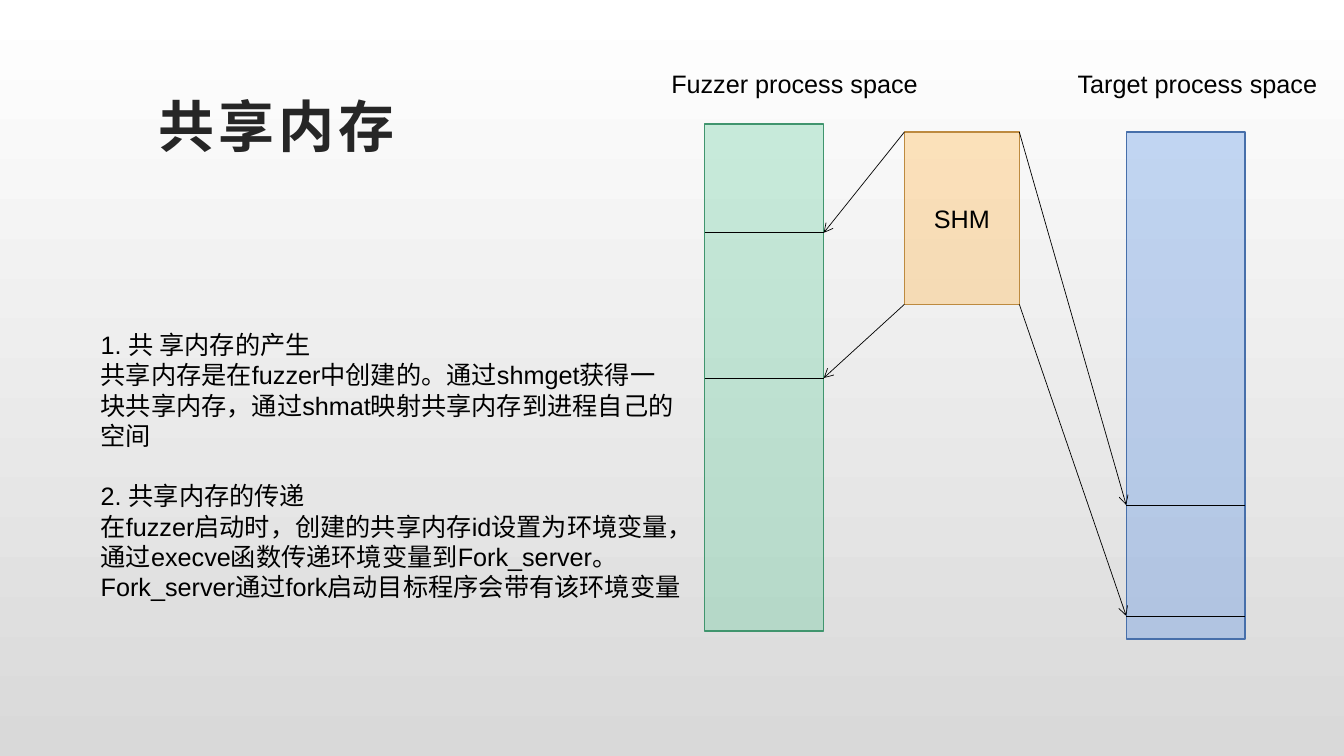
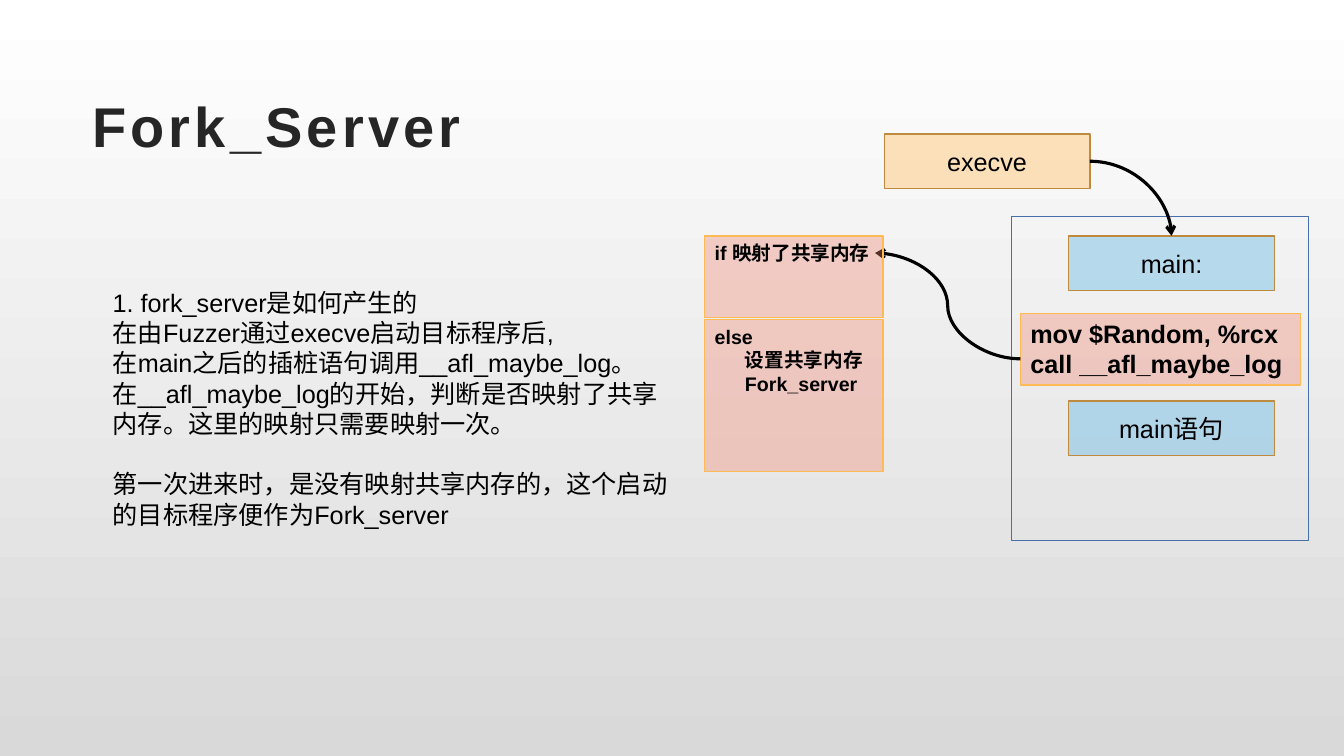
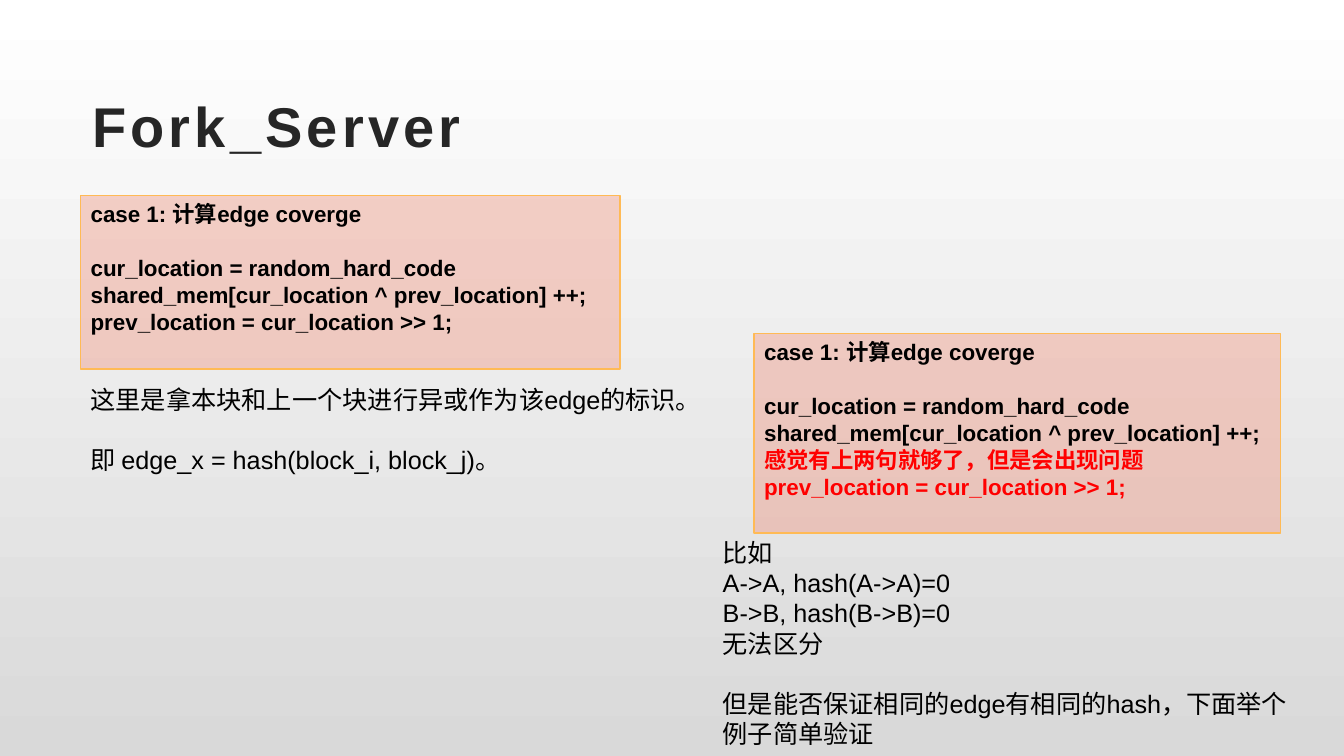
from lxml import etree
from pptx import Presentation
from pptx.dml.color import RGBColor
from pptx.enum.shapes import MSO_CONNECTOR, MSO_SHAPE
from pptx.enum.text import MSO_ANCHOR, PP_ALIGN
from pptx.oxml.ns import qn
from pptx.util import Inches, Pt

RECT = MSO_SHAPE.RECTANGLE
STRAIGHT, CURVE = MSO_CONNECTOR.STRAIGHT, MSO_CONNECTOR.CURVE
TOP, MIDDLE, BOTTOM = MSO_ANCHOR.TOP, MSO_ANCHOR.MIDDLE, MSO_ANCHOR.BOTTOM
LEFT, CENTER = PP_ALIGN.LEFT, PP_ALIGN.CENTER

FONT = "Arial"
COLORS = {
    "bg_top": "FFFFFF", "bg_bottom": "D9D9D9", "title": "262626", "text": "000000",
    "alert": "FF0000", "orange": "FFBA55", "brown": "BD8A3F", "green": "56CA95",
    "dark_green": "40956E", "blue": "6096E6", "dark_blue": "476FAA",
    "sky": "58B6E5", "coral": "F18870",
}

# Box looks: fill, opacity in percent, outline
LOOKS = {
    "shm": ("orange", 38, "brown"),
    "fuzzer": ("green", 30, "dark_green"),
    "target": ("blue", 36, "dark_blue"),
    "frame": (None, 0, "dark_blue"),
    "call": ("orange", 39, "brown"),
    "step": ("sky", 39, "brown"),
    "code": ("coral", 36, "orange"),
}

# Text is a list of blocks; each block is a list of lines.
# A line is a string, or a string with its colour and indent.
SHM_TEXT = [
    ["1. 共 享内存的产生",
     "共享内存是在fuzzer中创建的。通过shmget获得一",
     "块共享内存，通过shmat映射共享内存到进程自己的空间"],
    ["2. 共享内存的传递",
     "在fuzzer启动时，创建的共享内存id设置为环境变量，通过execve函数传递环境变量到"
     "Fork_server。Fork_server通过fork启动目标程序会带有该环境变量"],
]
SHM_BOX = (8.97, 1.31, 1.14, 1.71)
# Label, label position, look, box, heights of the mapped region
SPACES = [
    ("Fuzzer process space", (6.56, 0.63, 2.74, 0.4), "fuzzer",
     (6.99, 1.23, 1.18, 5.03), (2.31, 3.75)),
    ("Target process space", (10.59, 0.63, 2.74, 0.4), "target",
     (11.17, 1.31, 1.18, 5.03), (5.01, 6.11)),
]

FORK_TEXT = [
    ["1. fork_server是如何产生的",
     "在由Fuzzer通过execve启动目标程序后,",
     "在main之后的插桩语句调用__afl_maybe_log。",
     "在__afl_maybe_log的开始，判断是否映射了共享内存。这里的映射只需要映射一次。"],
    ["第一次进来时，是没有映射共享内存的，这个启动的目标程序便作为Fork_server"],
]
CALL_TEXT = [["mov $Random, %rcx", "call __afl_maybe_log"]]
IF_TEXT = [["if 映射了共享内存"]]
ELSE_TEXT = [["else", ("设置共享内存", "text", 0.3), ("Fork_server", "text", 0.3)]]
STEP_SIZE = (2.04, 0.54)

CASE_HEAD = ["case 1: 计算edge coverge"]
CASE_CODE = ["cur_location = random_hard_code",
             "shared_mem[cur_location ^ prev_location] ++;"]
SHIFT = "prev_location = cur_location >> 1;"
CASES = [
    ((0.8, 1.94, 5.35, 1.72), [CASE_HEAD, CASE_CODE + [SHIFT]]),
    ((7.48, 3.31, 5.22, 1.98),
     [CASE_HEAD, CASE_CODE + [("感觉有上两句就够了，但是会出现问题", "alert", 0),
                              (SHIFT, "alert", 0)]]),
]
CASE_NOTES = [
    ((0.8, 3.76, 6.04, 1.01),
     [["这里是拿本块和上一个块进行异或作为该edge的标识。"],
      ["即 edge_x = hash(block_i, block_j)。"]]),
    ((7.07, 5.28, 6.04, 2.22),
     [["比如", "A->A, hash(A->A)=0", "B->B, hash(B->B)=0", "无法区分"],
      ["但是能否保证相同的edge有相同的hash，下面举个例子简单验证"]]),
]


def rgb(name):
    return RGBColor.from_string(COLORS[name])


def inches(*values):
    return [Inches(v) for v in values]


def write(sp, blocks, size=18, bold=False, align=LEFT, anchor=TOP):
    """Fill a shape with text; blocks are set one line apart."""
    tf = sp.text_frame
    tf.word_wrap = True
    tf.vertical_anchor = anchor
    p = None
    for block in blocks:
        for i, line in enumerate(block):
            text, color, indent = (line, "text", 0) if isinstance(line, str) else line
            first = p is None
            p = tf.paragraphs[0] if first else tf.add_paragraph()
            p.text = text
            p.alignment = align
            if i == 0 and not first:
                p.space_before = Pt(size * 1.2)
            if indent:
                p._p.get_or_add_pPr().set("marL", str(Inches(indent)))
            for r in p.runs:
                r.font.name, r.font.size, r.font.bold = FONT, Pt(size), bold
                r.font.color.rgb = rgb(color)
    return tf


def add_text(s, at, blocks, **style):
    return write(s.shapes.add_textbox(*inches(*at)), blocks, **style)


def add_box(s, at, look, blocks=(), **style):
    fill, opacity, outline = LOOKS[look]
    sp = s.shapes.add_shape(RECT, *inches(*at))
    sp.shadow.inherit = False
    if fill:
        sp.fill.solid()
        sp.fill.fore_color.rgb = rgb(fill)
        clr = sp._element.spPr.find(qn("a:solidFill"))[0]
        etree.SubElement(clr, qn("a:alpha")).set("val", str(opacity * 1000))
    else:
        sp.fill.background()
    sp.line.color.rgb = rgb(outline)
    sp.line.width = Pt(1)
    if blocks:
        write(sp, blocks, **style)
    return sp


def add_line(s, start, end, kind=STRAIGHT, width=0.5, arrow=False):
    c = s.shapes.add_connector(kind, *inches(*start, *end))
    c.line.color.rgb = rgb("text")
    c.line.width = Pt(width)
    spPr = c._element.spPr
    if arrow:
        etree.SubElement(spPr.find(qn("a:ln")), qn("a:tailEnd")).set("type", "arrow")
    etree.SubElement(spPr, qn("a:effectLst"))
    return c


def add_slide(prs, title):
    s = prs.slides.add_slide(prs.slide_layouts[6])
    tf = add_text(s, (0.52, 0.39, 4.65, 1.23), [[title]], size=40, bold=True,
                  align=CENTER, anchor=BOTTOM)
    tf.margin_right = Inches(0.3)
    r = tf.paragraphs[0].runs[0]
    r.font.color.rgb = rgb("title")
    r._r.get_or_add_rPr().set("spc", "300")
    return s


def set_background(master):
    fill = master.background.fill
    fill.gradient()
    fill.gradient_angle = 270
    for stop, name in zip(fill.gradient_stops, ("bg_top", "bg_bottom")):
        stop.color.rgb = rgb(name)


def shared_memory_slide(prs):
    s = add_slide(prs, "共享内存")
    add_text(s, (0.9, 3.22, 6.09, 3.13), SHM_TEXT)
    add_box(s, SHM_BOX, "shm", [["SHM"]], align=CENTER, anchor=MIDDLE)
    shm_left, shm_top, shm_w, shm_h = SHM_BOX
    for label, label_at, look, box, region in SPACES:
        add_box(s, box, look)
        add_text(s, label_at, [[label]])
        left, right = box[0], box[0] + box[2]
        on_left = left < shm_left
        shm_x, edge = (shm_left, right) if on_left else (shm_left + shm_w, left)
        for shm_y, y in zip((shm_top, shm_top + shm_h), region):
            add_line(s, (shm_x, shm_y), (edge, y), arrow=True)
            add_line(s, (left, y), (right, y))


def fork_server_slide(prs):
    s = add_slide(prs, "Fork_Server")
    add_text(s, (1.02, 2.8, 5.84, 2.83), FORK_TEXT)
    add_box(s, (10.03, 2.15, 2.95, 3.21), "frame")
    centered = {"align": CENTER, "anchor": MIDDLE}
    entry = add_box(s, (10.6, 2.34, *STEP_SIZE), "step", [["main:"]], **centered)
    execve = add_box(s, (8.77, 1.33, *STEP_SIZE), "call", [["execve"]], **centered)
    add_box(s, (10.6, 3.98, *STEP_SIZE), "step", [["main语句"]], **centered)
    start = add_line(s, (10.81, 1.6), (11.62, 2.34), CURVE, 2.25, arrow=True)
    start.begin_connect(execve, 3)
    start.end_connect(entry, 0)
    start._element.spPr.find(qn("a:prstGeom")).set("prst", "curvedConnector2")
    add_box(s, (10.12, 3.11, 2.78, 0.71), "code", CALL_TEXT, bold=True)
    add_line(s, (10.12, 3.56), (8.68, 2.51), CURVE, 2.25, arrow=True)
    add_box(s, (6.99, 2.34, 1.77, 0.81), "code", IF_TEXT, size=14, bold=True)
    add_box(s, (6.99, 3.17, 1.77, 1.51), "code", ELSE_TEXT, size=14, bold=True)


def edge_coverage_slide(prs):
    s = add_slide(prs, "Fork_Server")
    for at, blocks in CASES:
        add_box(s, at, "code", blocks, size=16, bold=True)
    for at, blocks in CASE_NOTES:
        add_text(s, at, blocks)


def main():
    prs = Presentation()
    prs.slide_width, prs.slide_height = inches(13.33, 7.5)
    set_background(prs.slide_master)
    shared_memory_slide(prs)
    fork_server_slide(prs)
    edge_coverage_slide(prs)
    prs.save("out.pptx")


if __name__ == "__main__":
    main()
